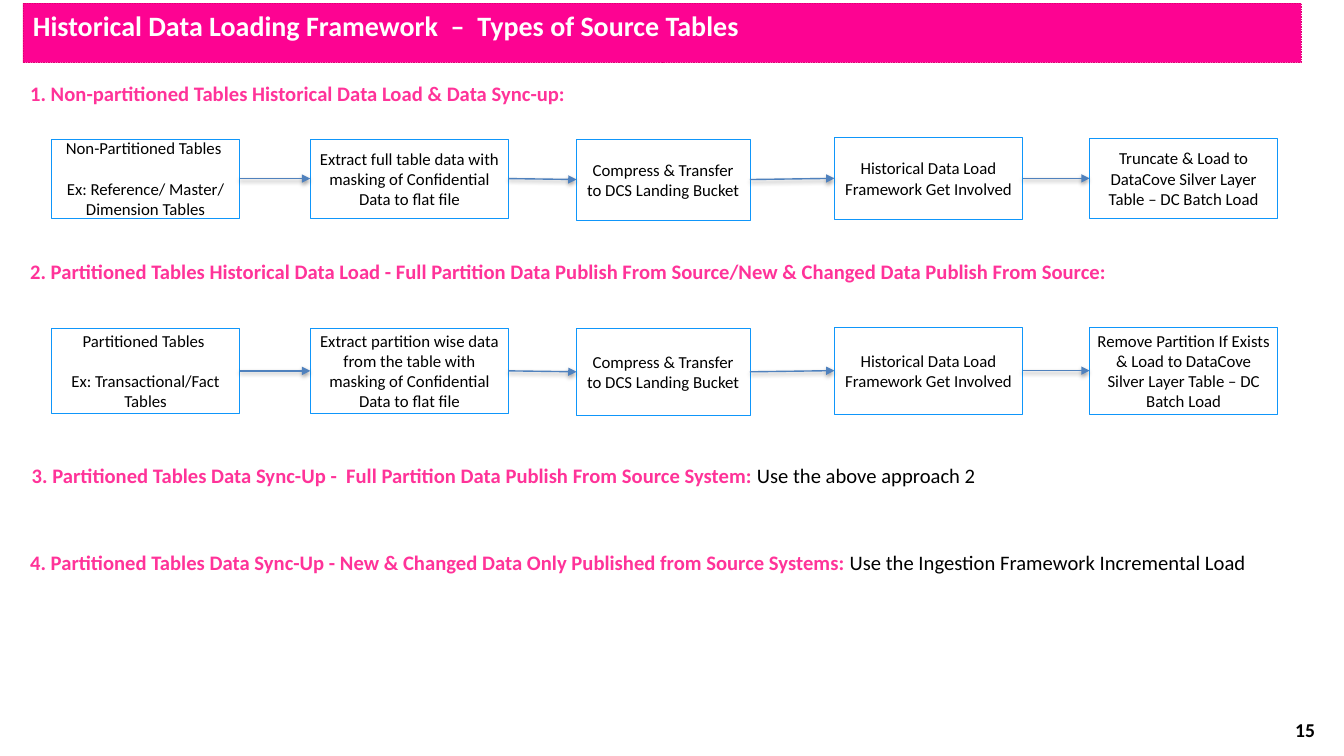
from lxml.etree import SubElement as Sub
from pptx import Presentation
from pptx.dml.color import RGBColor
from pptx.enum.dml import MSO_LINE
from pptx.enum.shapes import MSO_CONNECTOR as Wire, MSO_SHAPE as Form
from pptx.enum.text import MSO_ANCHOR as Anchor, PP_ALIGN as Align
from pptx.oxml.ns import qn
from pptx.util import Cm, Pt

PINK, BLACK, WHITE = "FF3399", "000000", "FFFFFF"


def hue(code):
    return RGBColor.from_string(code)


def write(para, text, size, color, bold=False):
    run = para.add_run()
    run.text = text
    font = run.font
    font.name, font.size, font.bold = "Calibri", Pt(size), bold
    font.color.rgb = hue(color)


deck = Presentation()
deck.slide_width, deck.slide_height = Cm(33.87), Cm(19.05)
slide = deck.slides.add_slide(deck.slide_layouts[6])
shapes = slide.shapes

# Title bar
bar = shapes.add_shape(Form.RECTANGLE, Cm(0.58), Cm(0.08), Cm(32.21), Cm(1.5))
bar.shadow.inherit = False
bar.fill.solid()
bar.fill.fore_color.rgb = hue("FD0392")
bar.line.color.rgb = hue("E20074")
bar.line.width = Pt(0.25)
bar.line.dash_style = MSO_LINE.DASH
bar.text_frame.word_wrap = True
bar.text_frame.vertical_anchor = Anchor.TOP
para = bar.text_frame.paragraphs[0]
para.alignment = Align.LEFT
write(para, "Historical Data Loading Framework  –  Types of Source Tables", 20, WHITE, True)

# Headings: left, top, width, pink text, black text
heads = [
    (0.58, 1.85, 32.21, "1. Non-partitioned Tables Historical Data Load & Data Sync-up:", ""),
    (0.58, 6.35, 31.98, "2. Partitioned Tables Historical Data Load - Full Partition Data "
     "Publish From Source/New & Changed Data Publish From Source:", ""),
    (0.62, 11.48, 29.11, "3. Partitioned Tables Data Sync-Up -  Full Partition Data "
     "Publish From Source System: ", "Use the above approach 2"),
    (0.58, 13.67, 31.98, "4. Partitioned Tables Data Sync-Up - New & Changed Data Only "
     "Published from Source Systems: ", "Use the Ingestion Framework Incremental Load"),
]
for left, top, width, label, note in heads:
    frame = shapes.add_textbox(Cm(left), Cm(top), Cm(width), Cm(0.97)).text_frame
    frame.word_wrap = True
    frame.margin_left = frame.margin_right = Cm(0.18)
    frame.margin_top = frame.margin_bottom = Cm(0.18)
    para = frame.paragraphs[0]
    write(para, label, 14.7, PINK, True)
    if note:
        write(para, note, 14.7, BLACK)

# Flow columns: left, width, rise above the row top, extra height
cols = [(1.3, 4.74, 0, 0), (7.82, 5, 0, 0), (14.53, 4.37, 0, 0.05),
        (21.03, 4.74, 0.04, 0.07), (27.46, 4.74, 0.03, 0.05)]
shared = ["Compress & Transfer to DCS Landing Bucket",
          "Historical Data Load Framework Get Involved"]

# Flow rows: top, height, box texts
flows = [
    (3.51, 1.98, ["Non-Partitioned Tables \nEx: Reference/ Master/ Dimension Tables",
                  "Extract full table data with masking of Confidential Data to flat file",
                  *shared,
                  "Truncate & Load to DataCove Silver Layer Table – DC Batch Load"]),
    (8.28, 2.13, ["Partitioned Tables \nEx: Transactional/Fact Tables",
                  "Extract partition wise data from the table with masking of "
                  "Confidential Data to flat file",
                  *shared,
                  "Remove Partition If Exists & Load to DataCove Silver Layer "
                  "Table – DC Batch Load"]),
]
for top, height, texts in flows:
    last = None
    for (left, width, rise, extra), text in zip(cols, texts):
        # Step box
        box = shapes.add_shape(Form.RECTANGLE, Cm(left), Cm(top - rise),
                               Cm(width), Cm(height + extra))
        box.shadow.inherit = False
        box.fill.solid()
        box.fill.fore_color.rgb = hue(WHITE)
        box.line.color.rgb = hue("0F96FA")
        box.line.width = Pt(0.25)
        frame = box.text_frame
        frame.word_wrap = True
        frame.vertical_anchor = Anchor.MIDDLE
        frame.margin_left = frame.margin_right = Cm(0.18)
        frame.margin_top = frame.margin_bottom = Cm(0.18)
        for i, part in enumerate(text.split("\n")):
            para = frame.add_paragraph() if i else frame.paragraphs[0]
            para.alignment = Align.CENTER
            para.space_before = Pt(14.65 * i)
            write(para, part, 12, BLACK)

        # Arrow from the step before, with a soft shadow
        if last:
            arrow = shapes.add_connector(Wire.STRAIGHT, 0, 0, 0, 0)
            arrow.begin_connect(last, 3)
            arrow.end_connect(box, 1)
            arrow.line.color.rgb = hue("4F81BD")
            arrow.line.width = Pt(1)
            Sub(arrow.line._get_or_add_ln(), qn("a:tailEnd"), type="triangle")
            glow = Sub(arrow._element.spPr, qn("a:effectLst"))
            shade = Sub(glow, qn("a:outerShdw"), blurRad=str(Pt(3)), dist=str(Pt(1.6)),
                        dir="5400000", rotWithShape="0")
            tint = Sub(shade, qn("a:srgbClr"), val=BLACK)
            Sub(tint, qn("a:alpha"), val="38000")
        last = box

# Page number
frame = shapes.add_textbox(Cm(31.95), Cm(17.96), Cm(1.88), Cm(1.02)).text_frame
frame.word_wrap = True
para = frame.paragraphs[0]
para.alignment = Align.CENTER
write(para, "15", 14, BLACK, True)

deck.save("out.pptx")
